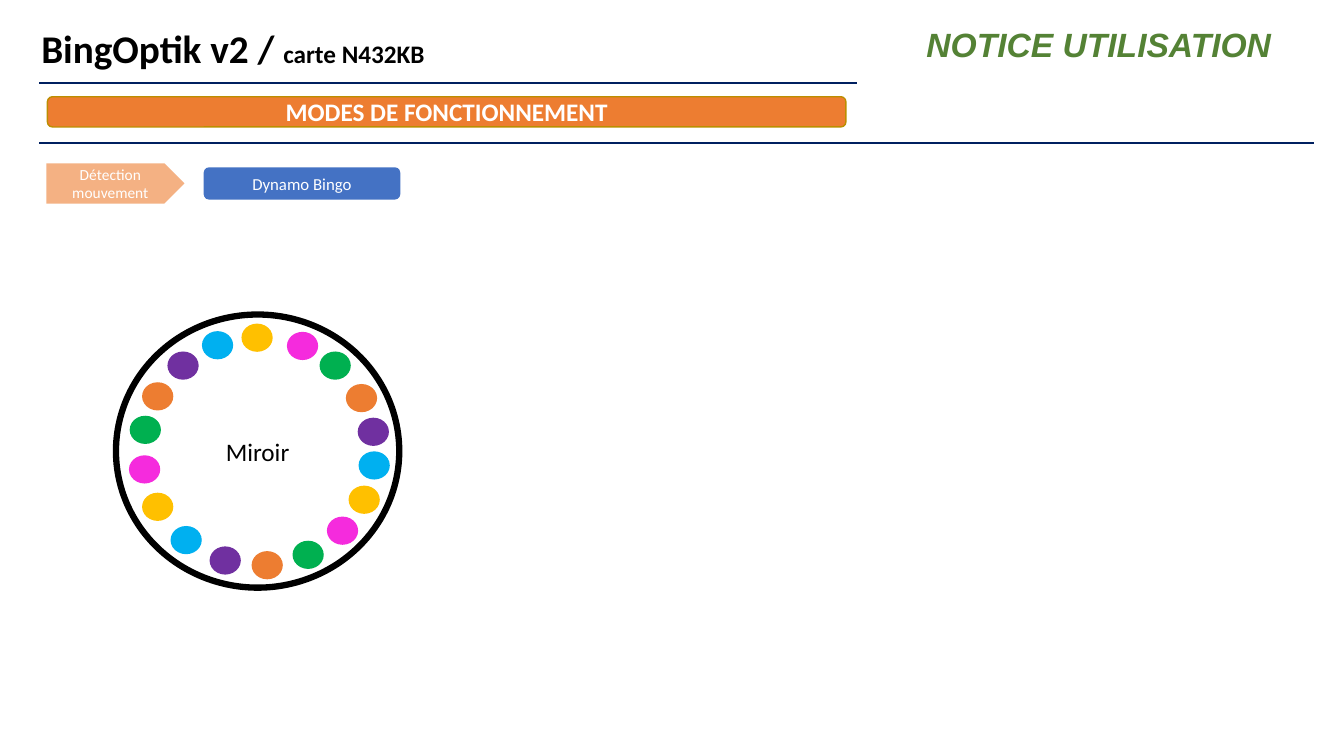
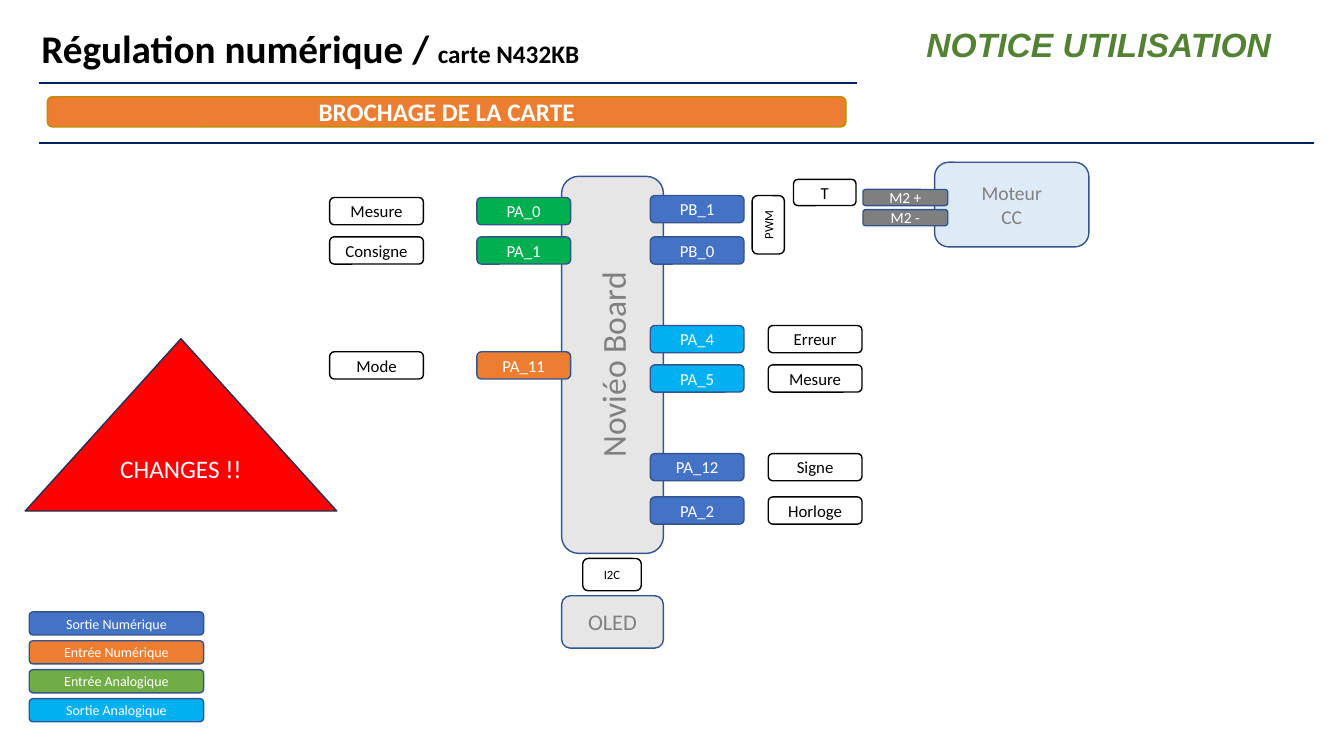
from dataclasses import dataclass
from itertools import cycle
from math import cos, radians, sin
from typing import NamedTuple, Optional

from pptx import Presentation
from pptx.dml.color import RGBColor
from pptx.enum.shapes import MSO_CONNECTOR, MSO_SHAPE
from pptx.enum.text import MSO_ANCHOR, PP_ALIGN
from pptx.oxml.ns import qn
from pptx.util import Inches, Pt

CELL = Inches(0.1)  # side of one grid cell: 133 columns by 75 rows
COLORS = {
    "black": "000000", "white": "FFFFFF", "navy": "002060", "notice": "548235",
    "orange": "ED7D31", "gold": "BC8E00", "blue": "4472C4", "edge": "325490",
    "cyan": "00B0F0", "green": "00B050", "olive": "70AD47", "pink": "F52BDD",
    "yellow": "FFC000", "purple": "7030A0", "peach": "F4B183", "red": "FF0000",
    "red_edge": "1E3256", "board": "E7E6E6", "motor": "DEEBF7",
    "grey": "808080", "terminal": "7F7F7F",
}


class Box(NamedTuple):
    col: float
    row: float
    cols: float
    rows: float


class Pin(NamedTuple):
    name: str
    label: str
    row: float
    color: str


@dataclass
class Style:
    fill: str
    line: Optional[str] = None
    size: float = 12
    color: str = "white"
    bold: bool = False
    width: float = 1
    pad: float = 1  # side margins, in cells
    vertical: bool = False


LABEL = Style("white", "black", color="black")
SMALL_LABEL = Style("white", "black", 9, "black", pad=0)


def rgb(name: str) -> RGBColor:
    return RGBColor.from_string(COLORS[name])


def cells(*values: float) -> list:
    return [round(v * CELL) for v in values]


def add_run(p, text: str, size: float, color: str, bold: bool = False,
            italic: bool = False, font: str = "Calibri") -> None:
    r = p.add_run()
    r.text = text
    r.font.name, r.font.size = font, Pt(size)
    r.font.bold, r.font.italic = bold, italic
    r.font.color.rgb = rgb(color)


def add_block(s, box: Box, style: Style, text: str = "",
              kind=MSO_SHAPE.ROUNDED_RECTANGLE) -> None:
    sp = s.shapes.add_shape(kind, *cells(*box))
    sp.shadow.inherit = False
    sp.fill.solid()
    sp.fill.fore_color.rgb = rgb(style.fill)
    if style.line:
        sp.line.color.rgb = rgb(style.line)
        sp.line.width = Pt(style.width)
    else:
        sp.line.fill.background()
    if not text:
        return
    tf = sp.text_frame
    tf.word_wrap = not style.vertical
    tf.vertical_anchor = MSO_ANCHOR.MIDDLE
    tf.margin_left = tf.margin_right = cells(style.pad)[0]
    tf.margin_top = tf.margin_bottom = 0
    if style.vertical:
        tf._txBody.bodyPr.set("vert", "vert270")
    p = tf.paragraphs[0]
    p.alignment = PP_ALIGN.CENTER
    add_run(p, text, style.size, style.color, style.bold)


def add_rule(s, row: float, end: float) -> None:
    ln = s.shapes.add_connector(MSO_CONNECTOR.STRAIGHT, *cells(3.9, row, end, row))
    ln.line.color.rgb = rgb("navy")
    ln.line.width = Pt(1.5)
    sp_pr = ln._element.spPr
    sp_pr.append(sp_pr.makeelement(qn("a:effectLst"), {}))


def add_page(prs, project: str, section: str):
    """Add a slide with the shared title, notice, rules and section band."""
    s = prs.slides.add_slide(prs.slide_layouts[5])
    title = s.shapes.title
    title.left, title.top, title.width, title.height = cells(3.1, 1.9, 81.9, 5.7)
    notice = s.shapes.add_textbox(*cells(90.9, 1.9, 36.5, 5))
    notice.text_frame.word_wrap = False
    for sp in (title, notice):
        sp.text_frame.vertical_anchor = MSO_ANCHOR.TOP
        sp.text_frame.paragraphs[0].alignment = PP_ALIGN.LEFT
    p = title.text_frame.paragraphs[0]
    add_run(p, project + " / ", 28, "black", True)
    add_run(p, "carte N432KB", 18, "black", True)
    add_run(notice.text_frame.paragraphs[0], "NOTICE UTILISATION", 24, "notice",
            True, True, "Arial")
    add_rule(s, 8.25, 85)
    add_rule(s, 14.2, 130.3)
    add_block(s, Box(4.7, 9.6, 79.2, 3), Style("orange", "gold", 18, bold=True), section)
    return s


def add_modes(prs) -> None:
    s = add_page(prs, "BingOptik v2", "MODES DE FONCTIONNEMENT")

    # Mirror with its ring of lamps, clockwise from the top
    add_block(s, Box(11.5, 31.2, 28.1, 27.1),
              Style("white", "black", 18, "black", width=4.5), "Miroir", MSO_SHAPE.OVAL)
    angles = (-1, 22, 41, 62, 80, 97, 115, 134, 155,
              176, 197, 219, 241, 261, 281, 299, 319, 339)
    lamps = cycle(("yellow", "pink", "green", "orange", "purple", "cyan"))
    for angle, color in zip(angles, lamps):
        col = 25.7 + 11.5 * sin(radians(angle))
        row = 44.8 - 11.3 * cos(radians(angle))
        add_block(s, Box(col - 1.55, row - 1.4, 3.1, 2.8), Style(color), kind=MSO_SHAPE.OVAL)

    # Mode and its trigger
    add_block(s, Box(20.2, 16.6, 19.5, 3.2), Style("blue"), "Dynamo Bingo")
    add_block(s, Box(4.6, 16.2, 13.7, 4), Style("peach", size=11),
              "Détection mouvement", MSO_SHAPE.PENTAGON)


def add_pins(s, pins: tuple, pin_col: float, label_col: float) -> None:
    for pin in pins:
        add_block(s, Box(pin_col, pin.row, 9.3, 2.7), Style(pin.color, "edge"), pin.name)
        if pin.label:
            add_block(s, Box(label_col, pin.row, 9.3, 2.7), LABEL, pin.label)


def add_pinout(prs) -> None:
    s = add_page(prs, "Régulation numérique", "BROCHAGE DE LA CARTE")

    # Board, display and motor
    add_block(s, Box(55.7, 17.5, 10.1, 37.4),
              Style("board", "edge", 24, "grey", pad=0, vertical=True), "Noviéo Board")
    add_block(s, Box(55.7, 59.1, 10.1, 5.2), Style("board", "edge", 16, "grey", pad=0), "OLED")
    add_block(s, Box(92.7, 16.1, 15.3, 8.4),
              Style("motor", "edge", 14, "grey", pad=3.5), "Moteur CC")
    for i, text in enumerate(("M2 +", "M2 -")):
        add_block(s, Box(85.6, 18.8 + 2 * i, 8.4, 1.6), Style("terminal", "edge", 11), text)

    # Signal labels
    add_block(s, Box(74.6, 19.4, 3.2, 5.8),
              Style("white", "black", 9, "black", pad=0, vertical=True), "PWM")
    add_block(s, Box(78.7, 17.8, 6.2, 2.6), LABEL, "T")
    add_block(s, Box(57.8, 55.4, 5.8, 3.2), SMALL_LABEL, "I2C")

    # Pins on both sides of the board
    add_pins(s, (Pin("PA_0", "Mesure", 19.6, "green"),
                 Pin("PA_1", "Consigne", 23.5, "green"),
                 Pin("PA_11", "Mode", 34.9, "orange")), 47.3, 32.7)
    add_pins(s, (Pin("PB_1", "", 19.4, "blue"),
                 Pin("PB_0", "", 23.5, "blue"),
                 Pin("PA_4", "Erreur", 32.3, "cyan"),
                 Pin("PA_5", "Mesure", 36.2, "cyan"),
                 Pin("PA_12", "Signe", 45, "blue"),
                 Pin("PA_2", "Horloge", 49.3, "blue")), 64.5, 76.2)

    # Colour key
    key = (("Sortie Numérique", "blue"), ("Entrée Numérique", "orange"),
           ("Entrée Analogique", "olive"), ("Sortie Analogique", "cyan"))
    for i, (text, color) in enumerate(key):
        add_block(s, Box(2.9, 60.7 + 2.87 * i, 17.3, 2.3), Style(color, "edge", 10), text)

    # Warning
    add_block(s, Box(2.5, 33.6, 30.9, 17.1), Style("red", "red_edge", 18),
              "CHANGES !!", MSO_SHAPE.ISOSCELES_TRIANGLE)


def main() -> None:
    prs = Presentation()
    prs.slide_width, prs.slide_height = Inches(13.33), Inches(7.5)
    add_modes(prs)
    add_pinout(prs)
    prs.save("out.pptx")


if __name__ == "__main__":
    main()
